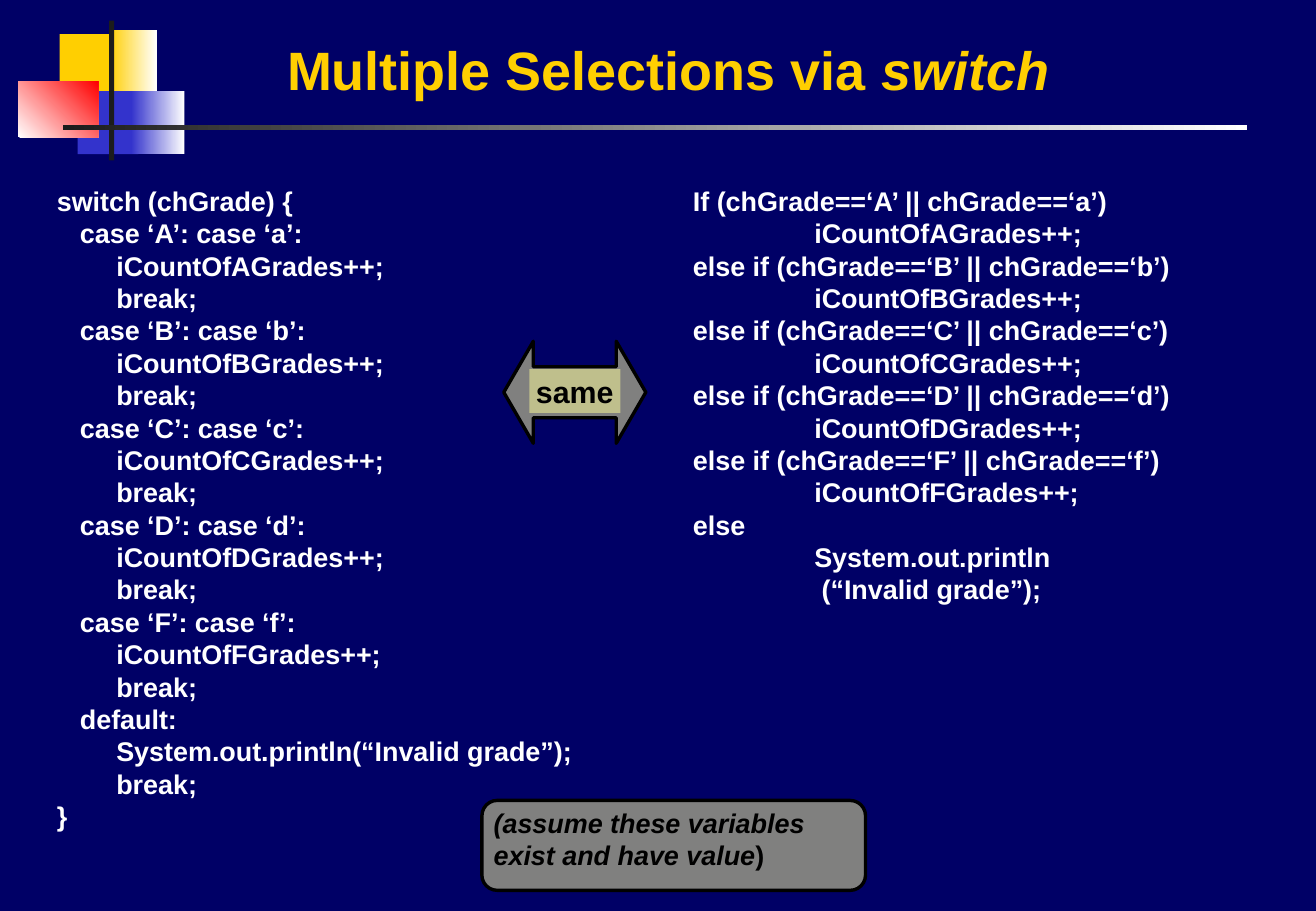
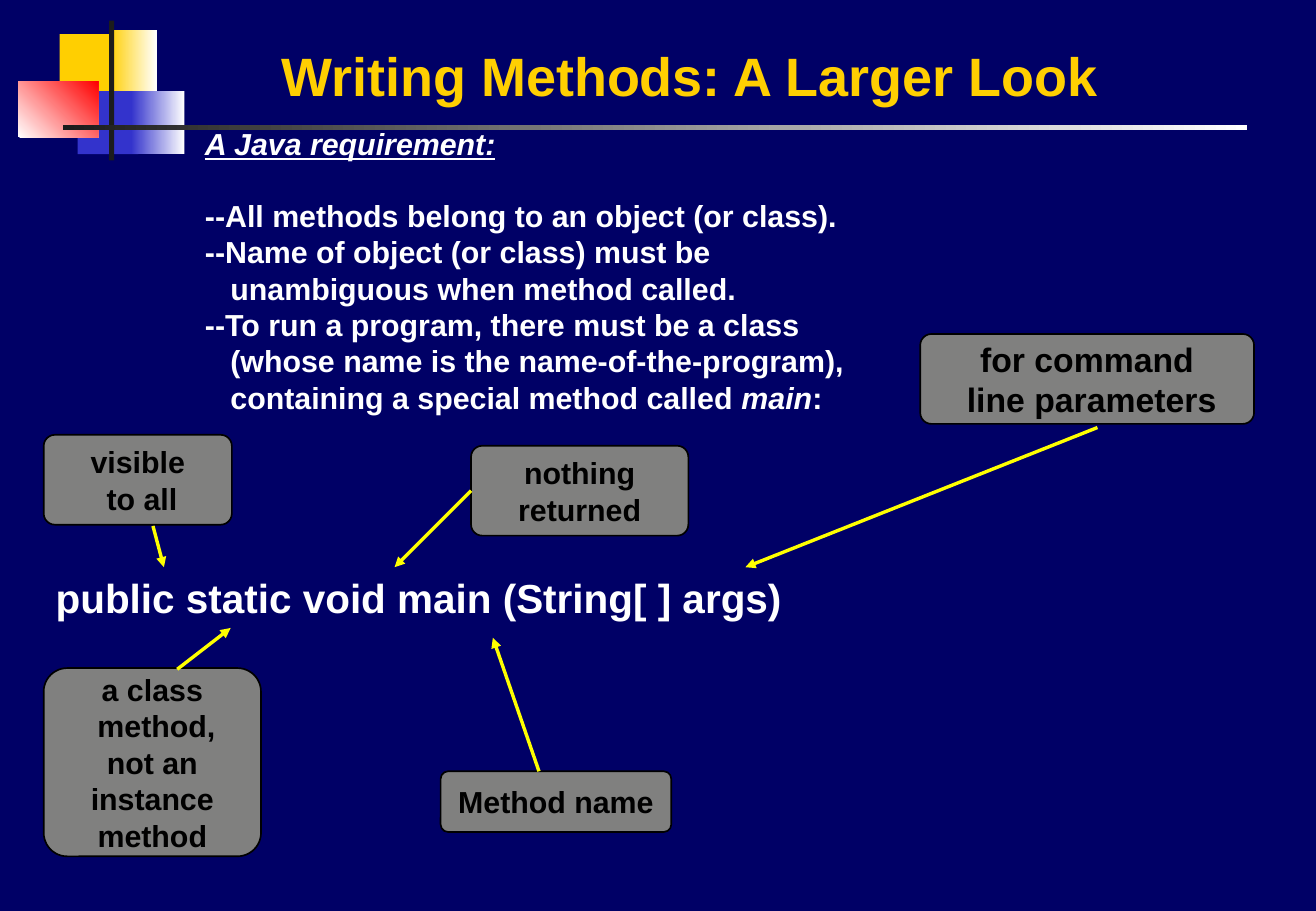
"""Builds two slides on switch statements and the main method."""
from dataclasses import dataclass

from lxml.etree import SubElement
from pptx import Presentation
from pptx.dml.color import RGBColor
from pptx.enum.shapes import MSO_CONNECTOR, MSO_SHAPE
from pptx.enum.text import MSO_ANCHOR, MSO_AUTO_SIZE, PP_ALIGN
from pptx.oxml.ns import qn
from pptx.util import Inches, Pt

FONT = "Arial"
COLORS = {
    "navy": "000066", "gold": "FFCF01", "blue": "3333CC", "red": "FF0000",
    "white": "FFFFFF", "dark": "1C1C1C", "black": "000000",
    "cream": "FFFF99", "yellow": "FFFF00",
}


@dataclass
class Para:
    """Holds runs of (text, style letters) with indents in inches and space before in points."""
    runs: list
    left: float = 0
    first: float = 0
    before: float = 0


def line(text, left=0, first=0, before=0, style=""):
    """Returns a paragraph of one run."""
    return Para([(text, style)], left, first, before)


DECOR = [
    ((0.49, 0.28, 0.52, 0.52), ("gold",), 0),
    ((0.9, 0.25, 0.39, 0.52), ("gold", "white"), 0),
    ((0.64, 0.75, 0.5, 0.52), ("blue",), 0),
    ((1.08, 0.75, 0.44, 0.52), ("blue", "white"), 0),
    ((0.15, 0.67, 0.66, 0.46), ("white", "red"), 45),
    ((0.9, 0.17, 0.04, 1.15), ("dark",), 0),
    ((0.52, 1.03, 9.75, 0.04), ("dark", "white"), 0),
]

GRADES = "ABCDF"
CASE, BODY, BRANCH, HANG = 0.19, 0.49, 1.0, 0.21

SWITCH_CODE = [line("switch (chGrade) {")]
IF_CODE = []
for grade in GRADES:
    low = grade.lower()
    count = f"iCountOf{grade}Grades++;"
    SWITCH_CODE += [line(f"case ‘{grade}’: case ‘{low}’:", CASE),
                    line(count, BODY), line("break;", BODY)]
    start = "else if" if IF_CODE else "If"
    IF_CODE += [line(f"{start} (chGrade==‘{grade}’ || chGrade==‘{low}’)"),
                line(count, BRANCH)]
SWITCH_CODE += [line("default:", CASE),
                line("System.out.println(“Invalid grade”);", BODY),
                line("break;", BODY), line("}")]
IF_CODE += [line("else"), line("System.out.println", BRANCH),
            line("(“Invalid grade”);", BRANCH + 0.06)]

ASSUMPTION = [Para([("(assume these variables exist and have value", "i"), (")", "")])]

REQUIREMENTS = [
    line("A Java requirement:", style="iu"),
    line("--All methods belong to an object (or class).", HANG, -HANG, 21),
    line("--Name of object (or class) must be\nunambiguous when method called.", HANG, -HANG),
    Para([("--To run a program, there must be a class\n"
           "(whose name is the name-of-the-program),\n"
           "containing a special method called ", ""), ("main", "i"), (":", "")],
         HANG, -HANG),
]

CALLOUTS = [
    ("a class\n method,\nnot an\ninstance\nmethod", (0.36, 5.5, 1.79, 1.55), 18,
     (1.46, 5.51), (1.9, 5.17), None),
    ("visible\n to all", (0.36, 3.58, 1.55, 0.74), 18, (1.26, 4.33), (1.35, 4.67), None),
    ("nothing\nreturned", (3.88, 3.67, 1.79, 0.74), 18, (3.88, 4.04), (3.25, 4.67), 1),
    ("Method name", (3.63, 6.35, 1.9, 0.5), 18, (4.44, 6.35), (4.06, 5.25), None),
    ("for command\n line parameters", (7.58, 2.75, 2.75, 0.74), 20,
     (9.04, 3.52), (6.14, 4.67), None),
]


def rgb(name):
    """Returns a named colour."""
    return RGBColor.from_string(COLORS[name])


def inches(values):
    """Converts numbers to lengths."""
    return [Inches(v) for v in values]


def write(tf, paras, size, color, align=PP_ALIGN.LEFT):
    """Fills a text frame run by run."""
    for i, para in enumerate(paras):
        p = tf.paragraphs[0] if i == 0 else tf.add_paragraph()
        p.alignment = align
        p.space_before = Pt(para.before)
        if para.left:
            pPr = p._p.get_or_add_pPr()
            pPr.set("marL", str(Inches(para.left)))
            pPr.set("indent", str(Inches(para.first)))
        for text, style in para.runs:
            for k, part in enumerate(text.split("\n")):
                if k:
                    p.add_line_break()
                r = p.add_run()
                r.text = part
                font = r.font
                font.name, font.size, font.bold = FONT, Pt(size), True
                font.italic, font.underline = "i" in style, "u" in style
                font.color.rgb = rgb(color)


def add_text(s, box, paras, size):
    """Adds a white text box."""
    tf = s.shapes.add_textbox(*inches(box)).text_frame
    tf.word_wrap = True
    write(tf, paras, size, "white")


def add_panel(shapes, kind, box, width=0, adjust=()):
    """Adds a half-transparent cream shape with an optional black outline."""
    sp = shapes.add_shape(kind, *inches(box))
    sp.shadow.inherit = False
    for i, value in enumerate(adjust):
        sp.adjustments[i] = value
    sp.fill.solid()
    sp.fill.fore_color.rgb = rgb("cream")
    clr = sp._element.spPr.find(qn("a:solidFill"))[0]
    SubElement(clr, qn("a:alpha")).set("val", "50000")
    if width:
        sp.line.color.rgb = rgb("black")
        sp.line.width = Pt(width)
    else:
        sp.line.fill.background()
    return sp


def add_label(sp, text, size):
    """Centres black text in a shape."""
    tf = sp.text_frame
    tf.word_wrap = False
    tf.vertical_anchor = MSO_ANCHOR.MIDDLE
    write(tf, [line(text)], size, "black", PP_ALIGN.CENTER)


def add_arrow(s, start, end, sp, site):
    """Adds a yellow arrow, joined to a shape where a site is given."""
    c = s.shapes.add_connector(MSO_CONNECTOR.STRAIGHT, *inches(start + end))
    if site is not None:
        c.begin_connect(sp, site)
    c.line.color.rgb = rgb("yellow")
    c.line.width = Pt(2)
    SubElement(c.line._get_or_add_ln(), qn("a:tailEnd")).set("type", "triangle")
    SubElement(c._element.spPr, qn("a:effectLst"))


def add_slide(prs, box, runs):
    """Adds a title-only slide and formats its title."""
    s = prs.slides.add_slide(prs.slide_layouts[5])
    title = s.shapes.title
    title.left, title.top, title.width, title.height = inches(box)
    tf = title.text_frame
    tf.word_wrap = True
    tf.auto_size = MSO_AUTO_SIZE.NONE
    tf.vertical_anchor = MSO_ANCHOR.MIDDLE
    write(tf, [Para(runs)], 32, "gold", PP_ALIGN.CENTER)
    return s


def decorate(s):
    """Draws the corner blocks and rule and moves them to the layout."""
    for box, names, angle in DECOR:
        sp = s.shapes.add_shape(MSO_SHAPE.RECTANGLE, *inches(box))
        sp.shadow.inherit = False
        sp.line.fill.background()
        if len(names) == 1:
            sp.fill.solid()
            sp.fill.fore_color.rgb = rgb(names[0])
        else:
            sp.fill.gradient()
            sp.fill.gradient_angle = angle
            for stop, name, position in zip(sp.fill.gradient_stops, names, (0, 1)):
                stop.color.rgb = rgb(name)
                stop.position = position
        s.slide_layout.shapes._spTree.append(sp._element)


def build_switch(prs):
    """Builds the switch slide."""
    s = add_slide(prs, (0.9, 0.31, 9.21, 0.52),
                  [("Multiple Selections via ", ""), ("switch", "i")])
    decorate(s)
    add_text(s, (0.37, 1.47, 4.6, 5.43), SWITCH_CODE, 16)
    add_text(s, (5.61, 1.47, 4.4, 3.83), IF_CODE, 16)

    note = add_panel(s.shapes, MSO_SHAPE.ROUNDED_RECTANGLE, (3.97, 6.59, 3.16, 0.74), 2, [0.17])
    tf = note.text_frame
    tf.word_wrap = True
    tf.vertical_anchor = MSO_ANCHOR.TOP
    tf.margin_left, tf.margin_top = Inches(0.06), Inches(0.01)
    write(tf, ASSUMPTION, 16, "black")

    same = s.shapes.add_group_shape()
    add_panel(same.shapes, MSO_SHAPE.LEFT_RIGHT_ARROW, (4.15, 2.81, 1.17, 0.84), 2, [0.5, 0.29])
    label = add_panel(same.shapes, MSO_SHAPE.RECTANGLE, (4.36, 3.04, 0.75, 0.36))
    add_label(label, "same", 18)


def build_methods(prs):
    """Builds the methods slide."""
    s = add_slide(prs, (1.08, 0.33, 9.21, 0.58), [("Writing Methods: A Larger Look", "")])
    add_text(s, (0.36, 4.67, 7.52, 0.9), [line("public static void main (String[ ] args)")], 24)
    add_text(s, (1.59, 0.98, 5.7, 3.1), REQUIREMENTS, 18)
    for text, box, size, start, end, site in CALLOUTS:
        sp = add_panel(s.shapes, MSO_SHAPE.ROUNDED_RECTANGLE, box, 1, [0.125])
        add_label(sp, text, size)
        add_arrow(s, start, end, sp, site)


def main():
    """Builds and saves the presentation."""
    prs = Presentation()
    prs.slide_width, prs.slide_height = Inches(10.84), Inches(7.5)
    fill = prs.slide_master.background.fill
    fill.solid()
    fill.fore_color.rgb = rgb("navy")
    build_switch(prs)
    build_methods(prs)
    prs.save("out.pptx")


if __name__ == "__main__":
    main()
